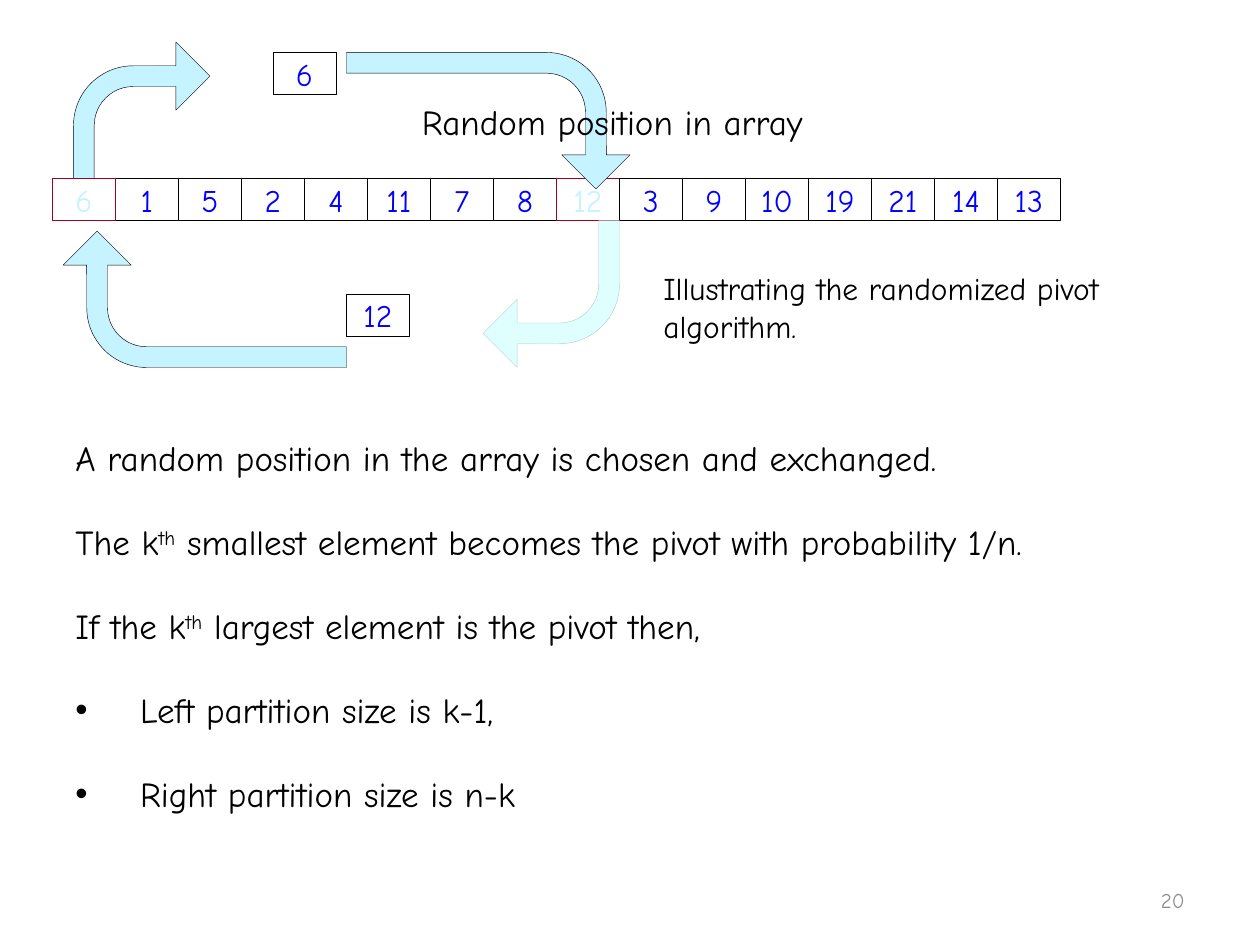
from pptx import Presentation
from pptx.dml.color import RGBColor
from pptx.enum.shapes import MSO_SHAPE
from pptx.enum.text import MSO_ANCHOR, PP_ALIGN
from pptx.oxml.ns import qn
from pptx.util import Pt
from lxml.etree import SubElement

FONT = "Comic Neue"
BLACK = RGBColor(0x00, 0x00, 0x00)
WHITE = RGBColor(0xFF, 0xFF, 0xFF)
BLUE = RGBColor(0x00, 0x00, 0xFF)
RED = RGBColor(0xA5, 0x00, 0x21)
SKY = RGBColor(0xC5, 0xF3, 0xFF)
PALE = RGBColor(0xDF, 0xFF, 0xFF)
PALE_LINE = RGBColor(0xB0, 0xD0, 0xD0)
GREY = RGBColor(0x8C, 0x8C, 0x8C)

CELL_WIDTH, CELL_HEIGHT = 36, 24
ROW_LEFT, ROW_TOP = 30, 102
ARRAY = [6, 1, 5, 2, 4, 11, 7, 8, 12, 3, 9, 10, 19, 21, 14, 13]
SWAPPED = (6, 12)

# left, top, width, height, rotation, fill, line
ARROWS = [
    (42, 24, 78, 84, 0, SKY, BLACK),
    (240, -12, 78, 162, 90, SKY, BLACK),
    (276, 126, 78, 84, 180, PALE, PALE_LINE),
    (78, 90, 78, 162, 270, SKY, BLACK),
]
ARROW_ADJUSTMENTS = (0.152, 0.25, 0.25, 0.438)

# Each paragraph is a list of (text, is superscript) spans
STATEMENTS = [
    [("A random position in the array is chosen and exchanged.", False)],
    [("The k", False), ("th", True),
     (" smallest element becomes the pivot with probability 1/n.", False)],
    [("If the k", False), ("th", True),
     (" largest element is the pivot then,", False)],
]
BULLETS = ["Left partition size is k-1,", "Right partition size is n-k"]


def style(para, size, color, align=PP_ALIGN.LEFT):
    para.alignment = align
    para.font.name = FONT
    para.font.size = Pt(size)
    para.font.color.rgb = color


def add_preset(page, kind, left, top, width, height, fill, line):
    shape = page.shapes.add_shape(kind, Pt(left), Pt(top), Pt(width), Pt(height))
    shape.shadow.inherit = False
    shape.fill.solid()
    shape.fill.fore_color.rgb = fill
    shape.line.color.rgb = line
    shape.line.width = Pt(0.25)
    return shape


def add_cell(page, left, top, value, swapped=False):
    cell = add_preset(page, MSO_SHAPE.RECTANGLE, left, top, CELL_WIDTH,
                      CELL_HEIGHT, WHITE, RED if swapped else BLACK)
    cell.text_frame.vertical_anchor = MSO_ANCHOR.MIDDLE
    para = cell.text_frame.paragraphs[0]
    para.text = str(value)
    style(para, 18, SKY if swapped else BLUE, PP_ALIGN.CENTER)


def add_array_cell(page, index):
    value = ARRAY[index]
    add_cell(page, ROW_LEFT + index * CELL_WIDTH, ROW_TOP, value, value in SWAPPED)


def add_arrow(page, left, top, width, height, rotation, fill, line):
    arrow = add_preset(page, MSO_SHAPE.BENT_ARROW, left, top, width, height,
                       fill, line)
    arrow.rotation = rotation
    for index, value in enumerate(ARROW_ADJUSTMENTS):
        arrow.adjustments[index] = value


def add_frame(page, left, top, width, height):
    box = page.shapes.add_textbox(Pt(left), Pt(top), Pt(width), Pt(height))
    box.text_frame.word_wrap = True
    return box.text_frame


def add_label(page, left, top, width, height, text, size, color=BLACK,
              align=PP_ALIGN.LEFT, anchor=MSO_ANCHOR.TOP):
    frame = add_frame(page, left, top, width, height)
    frame.vertical_anchor = anchor
    para = frame.paragraphs[0]
    para.text = text
    style(para, size, color, align)


def add_bullet(para, indent):
    properties = para._p.get_or_add_pPr()
    properties.set("marL", str(Pt(indent)))
    properties.set("indent", str(-Pt(indent)))
    SubElement(properties, qn("a:buFont")).set("typeface", "Arial")
    SubElement(properties, qn("a:buChar")).set("char", "•")


def add_body(page):
    frame = add_frame(page, 36, 246, 620, 274)
    paragraphs = STATEMENTS + [[(text, False)] for text in BULLETS]
    for index, spans in enumerate(paragraphs):
        para = frame.add_paragraph() if index else frame.paragraphs[0]
        for text, superscript in spans:
            span = para.add_run()
            span.text = text
            if superscript:
                span._r.get_or_add_rPr().set("baseline", "30000")
        if index >= len(STATEMENTS):
            add_bullet(para, 37)
        if index:
            para.space_before = Pt(24)
        style(para, 20, BLACK)


def main():
    deck = Presentation()
    deck.slide_width, deck.slide_height = Pt(720), Pt(540)
    page = deck.slides.add_slide(deck.slide_layouts[6])

    # Array row; its first cell comes later, over the arrow that leaves it
    for index in range(1, len(ARRAY)):
        add_array_cell(page, index)

    # Exchange of the two elements
    for arrow in ARROWS:
        add_arrow(page, *arrow)
    add_array_cell(page, 0)
    add_cell(page, 156, 30, 6)
    add_cell(page, 198, 168, 12)

    # Text
    add_body(page)
    add_label(page, 234, 54, 245, 32, "Random position in array", 20)
    add_label(page, 372, 150, 305, 73,
              "Illustrating the randomized pivot algorithm.", 18)
    add_label(page, 516, 500, 168, 29, "20", 12, GREY, PP_ALIGN.RIGHT,
              MSO_ANCHOR.MIDDLE)

    deck.save("out.pptx")


if __name__ == "__main__":
    main()
